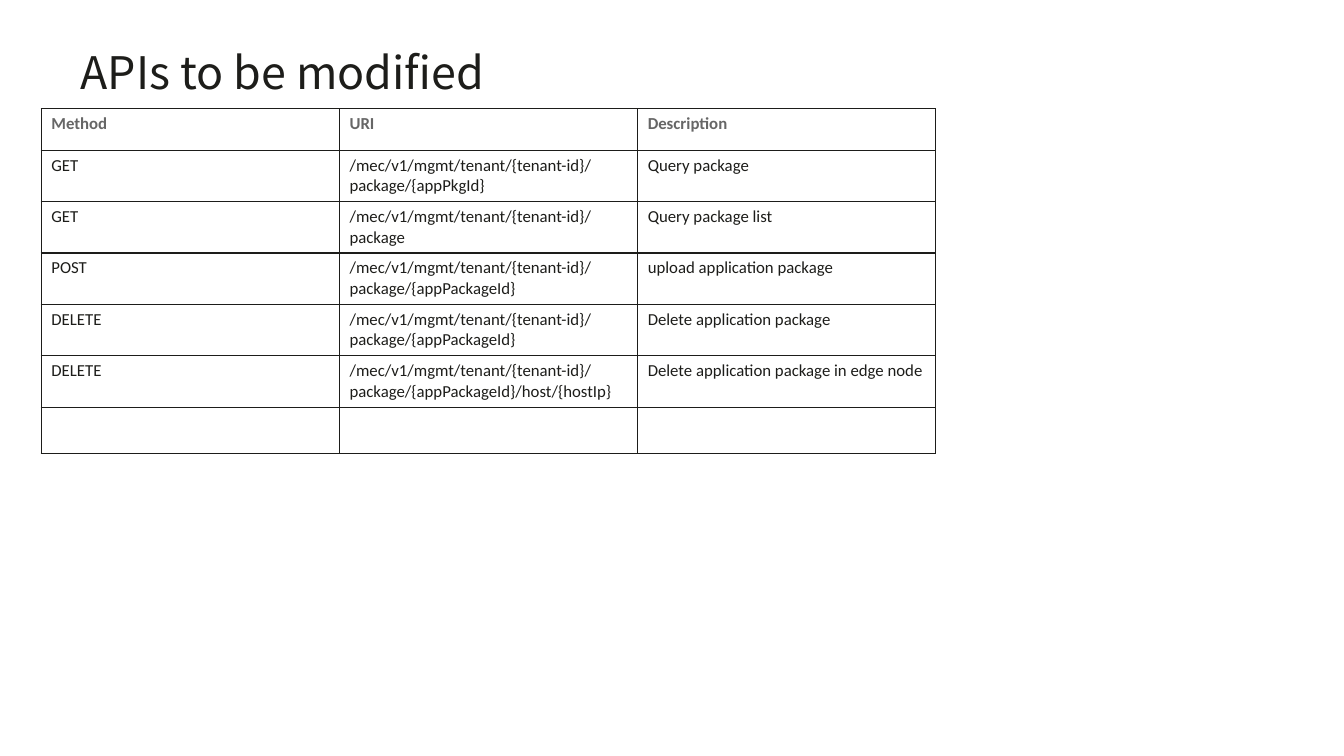
from dataclasses import dataclass

from lxml import etree
from pptx import Presentation
from pptx.dml.color import RGBColor
from pptx.enum.text import MSO_ANCHOR, PP_ALIGN
from pptx.oxml.ns import qn
from pptx.util import Inches, Pt

TOP, LEFT = MSO_ANCHOR.TOP, PP_ALIGN.LEFT

TITLE = "APIs to be modified"
BASE = "/mec/v1/mgmt/tenant/{tenant-id}/package"
ROWS = [
    ("Method", "URI", "Description"),
    ("GET", BASE + "/{appPkgId}", "Query package"),
    ("GET", BASE, "Query package list"),
    ("POST", BASE + "/{appPackageId}", "upload application package"),
    ("DELETE", BASE + "/{appPackageId}", "Delete application package"),
    ("DELETE", BASE + "/{appPackageId}/host/{hostIp}",
     "Delete application package in edge node"),
    ("", "", ""),
]
WIDE, HIGH = 13.34, 7.5
COL = 2.96
HEAD_ROW, API_ROW, LAST_ROW = 0.41, 0.51, 0.46


@dataclass(frozen=True)
class Theme:
    ink: str = "1D1D1A"
    head: str = "666666"
    title_font: str = "Noto Sans CJK SC"
    font: str = "Calibri"
    title_size: float = 32
    title_line: float = 34.3
    size: float = 12
    rule: float = 1


LOOK = Theme()


def style(font, name, size, color, bold=False):
    font.name, font.size, font.bold = name, Pt(size), bold
    font.color.rgb = RGBColor.from_string(color)


def add_title(slide):
    title = slide.shapes.title
    title.left, title.top = Inches(0.06 * WIDE), Inches(HIGH / 15)
    title.width, title.height = Inches(0.88 * WIDE), Inches(1.09)
    frame = title.text_frame
    frame.word_wrap, frame.vertical_anchor = True, TOP
    frame.margin_left = frame.margin_right = 0
    frame.margin_top = frame.margin_bottom = 0
    para = frame.paragraphs[0]
    para.alignment, para.line_spacing = LEFT, Pt(LOOK.title_line)
    para.space_before = Pt(0)
    run = para.add_run()
    run.text = TITLE
    style(run.font, LOOK.title_font, LOOK.title_size, LOOK.ink)


def add_rules(cell):
    """Draw all four borders; they must precede the fill in the cell XML."""
    props = cell._tc.get_or_add_tcPr()
    for spot, side in enumerate(("a:lnL", "a:lnR", "a:lnT", "a:lnB")):
        line = etree.Element(qn(side), w=str(Pt(LOOK.rule)))
        fill = etree.SubElement(line, qn("a:solidFill"))
        etree.SubElement(fill, qn("a:srgbClr"), val=LOOK.ink)
        props.insert(spot, line)


def add_cell(cell, text, head):
    cell.fill.background()
    add_rules(cell)
    para = cell.text_frame.paragraphs[0]
    color = LOOK.head if head else LOOK.ink
    if text:
        run = para.add_run()
        run.text = text
        style(run.font, LOOK.font, LOOK.size, color, head)
    else:
        style(para.font, LOOK.font, LOOK.size, color)


def add_apis(slide):
    highs = [HEAD_ROW] + [API_ROW] * (len(ROWS) - 2) + [LAST_ROW]
    cols = len(ROWS[0])
    table = slide.shapes.add_table(
        len(ROWS), cols, Inches(0.41), Inches(1.08),
        Inches(COL * cols), Inches(sum(highs))).table
    table.horz_banding = False
    for col in table.columns:
        col.width = Inches(COL)
    for r, (high, texts) in enumerate(zip(highs, ROWS)):
        table.rows[r].height = Inches(high)
        for c, text in enumerate(texts):
            add_cell(table.cell(r, c), text, r == 0)


def main():
    deck = Presentation()
    deck.slide_width, deck.slide_height = Inches(WIDE), Inches(HIGH)
    slide = deck.slides.add_slide(deck.slide_layouts.get_by_name("Title Only"))
    add_title(slide)
    add_apis(slide)
    deck.save("out.pptx")


if __name__ == "__main__":
    main()
